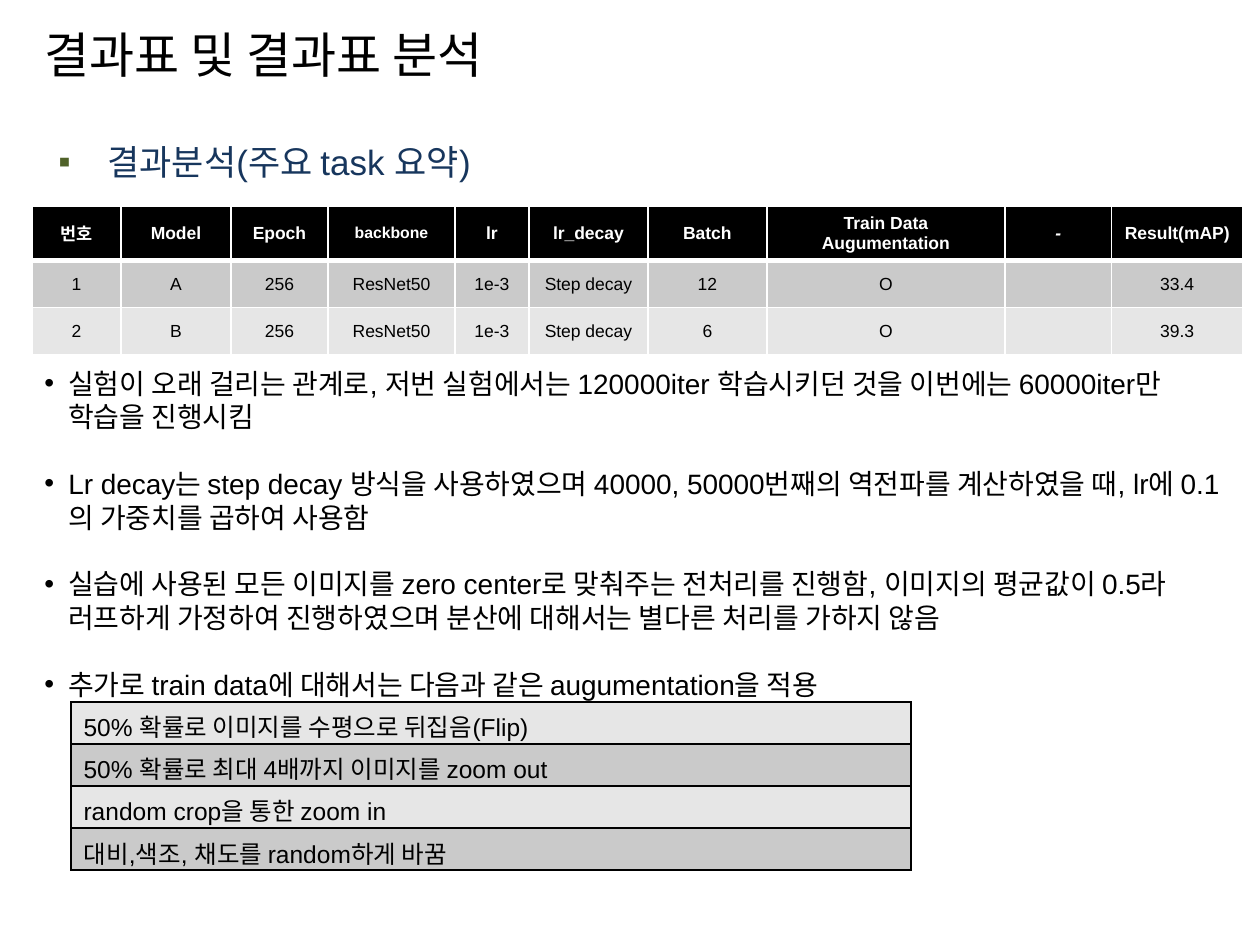
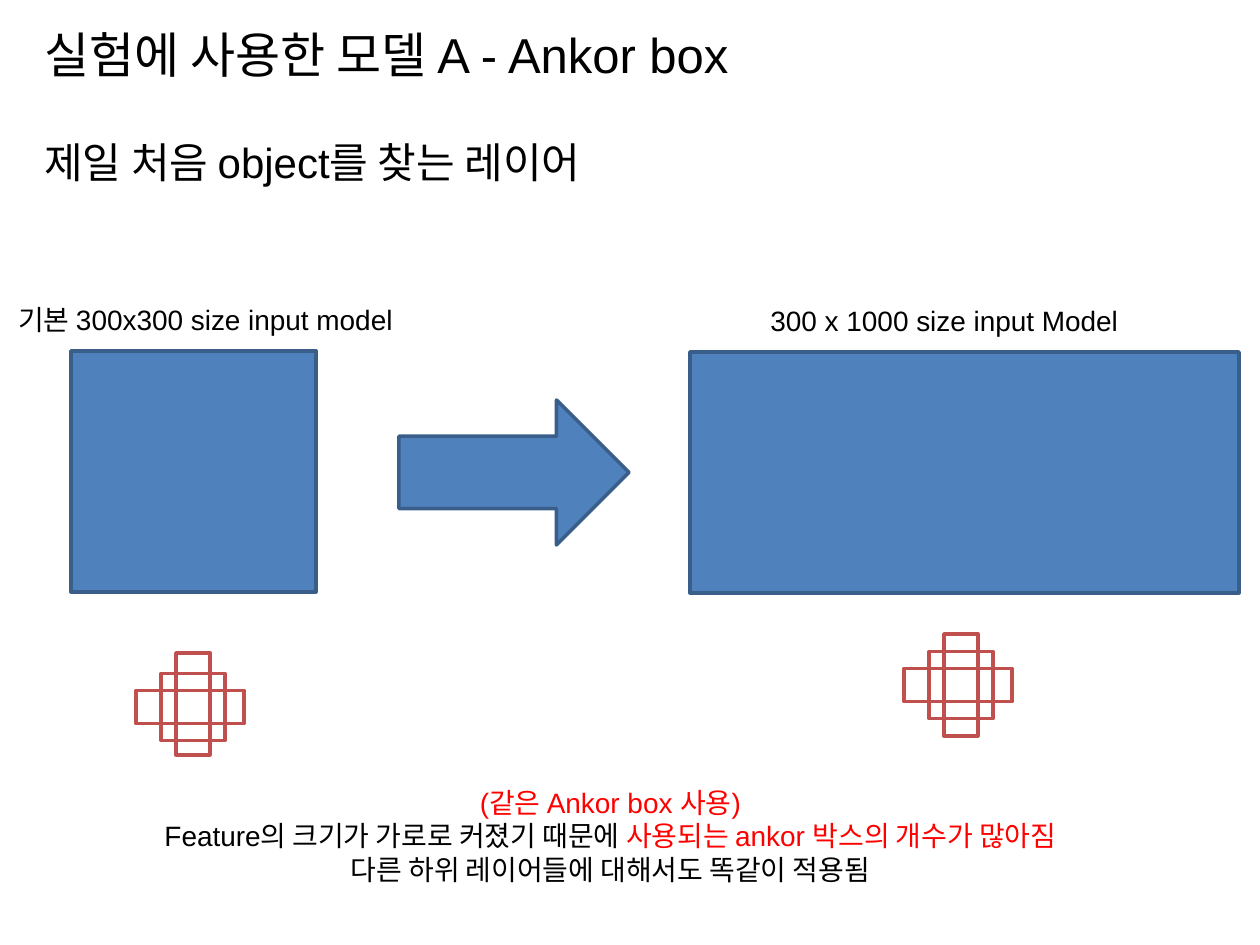
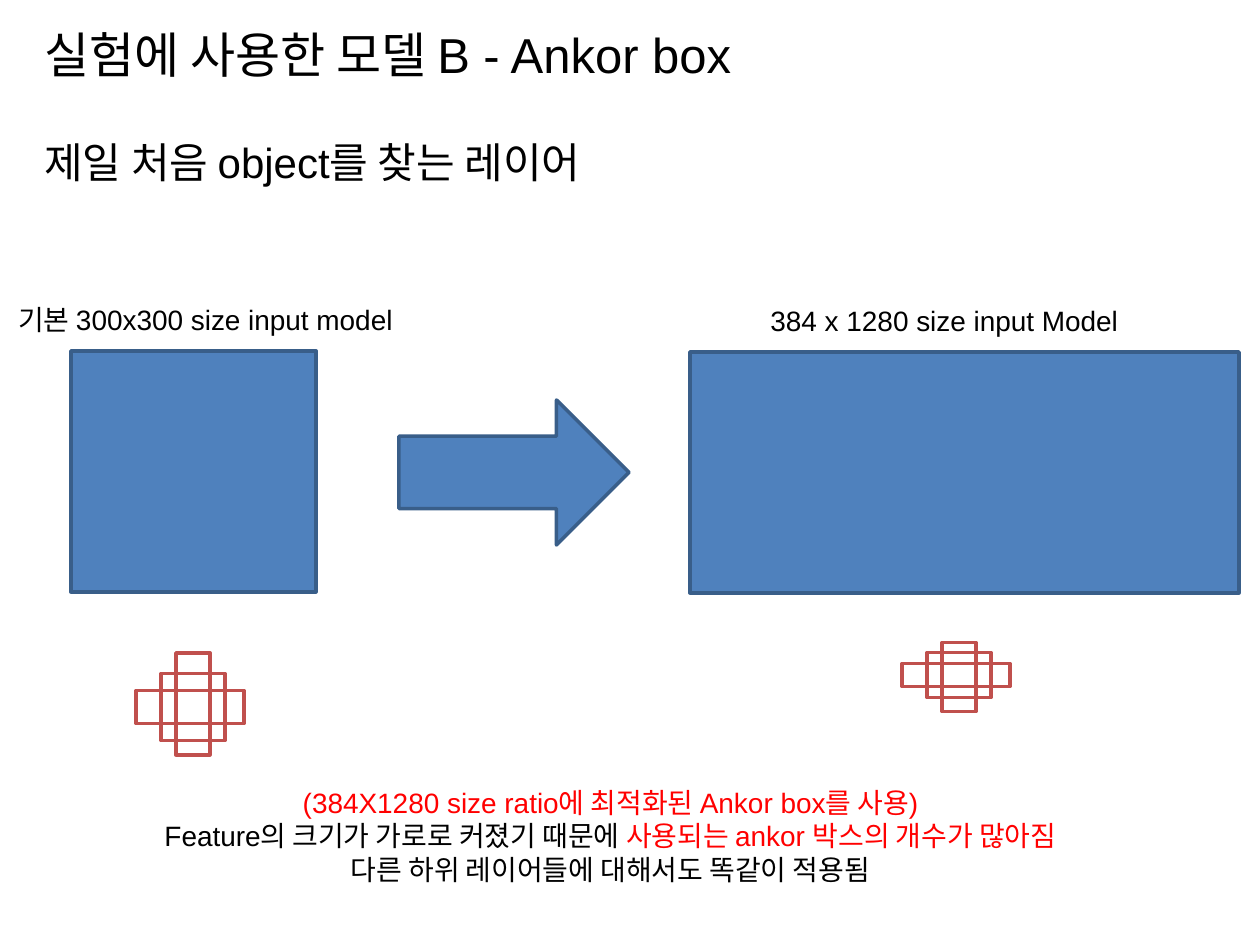
from lxml.etree import SubElement
from pptx import Presentation
from pptx.dml.color import RGBColor
from pptx.enum.shapes import MSO_SHAPE as Shape
from pptx.enum.text import MSO_ANCHOR as Anchor, PP_ALIGN as Align
from pptx.oxml.ns import qn
from pptx.util import Emu, Pt

# Shared look
PX = 914400 / 126
FONT = "Arial"
BLACK, WHITE, RED = "000000", "FFFFFF", "FF0000"
NAVY, OLIVE = "17365D", "4F6128"
DARK_GRAY, LIGHT_GRAY = "CACACA", "E6E6E6"
BLUE, BLUE_EDGE, ANCHOR_RED = "4F81BD", "395E89", "C0504D"

# Result table
COLUMN_WIDTHS = [89, 110, 97, 127, 74, 119, 119, 238, 107, 131]
RESULTS = [
    ["번호", "Model", "Epoch", "backbone", "lr", "lr_decay", "Batch",
     "Train Data Augumentation", "-", "Result(mAP)"],
    ["1", "A", "256", "ResNet50", "1e-3", "Step decay", "12", "O", "", "33.4"],
    ["2", "B", "256", "ResNet50", "1e-3", "Step decay", "6", "O", "", "39.3"],
]
FINDINGS = [
    "실험이 오래 걸리는 관계로, 저번 실험에서는 120000iter 학습시키던 것을 이번에는 60000iter만 학습을 진행시킴",
    "Lr decay는 step decay 방식을 사용하였으며 40000, 50000번째의 역전파를 계산하였을 때, lr에 0.1의 가중치를 곱하여 사용함",
    "실습에 사용된 모든 이미지를 zero center로 맞춰주는 전처리를 진행함, 이미지의 평균값이 0.5라 러프하게 가정하여 "
    "진행하였으며 분산에 대해서는 별다른 처리를 가하지 않음",
    "추가로 train data에 대해서는 다음과 같은 augumentation을 적용",
]
AUGMENTATIONS = [
    "50% 확률로 이미지를 수평으로 뒤집음(Flip)",
    "50% 확률로 최대 4배까지 이미지를 zoom out",
    "random crop을 통한 zoom in",
    "대비,색조, 채도를 random하게 바꿈",
]


def px(*lengths):
    return [Emu(round(length * PX)) for length in lengths]


def rgb(color):
    return RGBColor.from_string(color)


def add_run(paragraph, text, size, color=BLACK, bold=False, italic=False):
    run = paragraph.add_run()
    run.text = text
    font = run.font
    font.name, font.size = FONT, Pt(size)
    font.bold, font.italic = bold, italic
    font.color.rgb = rgb(color)


def add_text(slide, box, paragraphs, size, align=Align.LEFT, anchor=Anchor.TOP):
    """Each paragraph is a list of (text, color) runs."""
    frame = slide.shapes.add_textbox(*px(*box)).text_frame
    frame.word_wrap = True
    frame.vertical_anchor = anchor
    for index, runs in enumerate(paragraphs):
        paragraph = frame.add_paragraph() if index else frame.paragraphs[0]
        paragraph.alignment = align
        for text, color in runs:
            add_run(paragraph, text, size, color)
    return frame


def set_bullet(paragraph, mark, color, margin, hanging):
    props = paragraph._p.get_or_add_pPr()
    left, indent = px(margin, -hanging)
    props.set("marL", str(left))
    props.set("indent", str(indent))
    bullet_color = SubElement(props, qn("a:buClr"))
    SubElement(bullet_color, qn("a:srgbClr"), val=color)
    SubElement(props, qn("a:buFont"), typeface=FONT)
    SubElement(props, qn("a:buChar"), char=mark)


def add_shape(slide, kind, box, line, fill=None):
    shape = slide.shapes.add_shape(kind, *px(*box))
    shape.shadow.inherit = False
    if fill:
        shape.fill.solid()
        shape.fill.fore_color.rgb = rgb(fill)
    else:
        shape.fill.background()
    shape.line.color.rgb = rgb(line)
    shape.line.width = Pt(2)


def add_table(slide, left, top, widths, heights):
    table = slide.shapes.add_table(
        len(heights), len(widths), *px(left, top, sum(widths), sum(heights))).table
    for column, width in zip(table.columns, px(*widths)):
        column.width = width
    for row, height in zip(table.rows, px(*heights)):
        row.height = height
    return table


def style_cell(cell, fill, border, top=1, bottom=1):
    props = cell._tc.get_or_add_tcPr()
    for side, width in (("L", 1), ("R", 1), ("T", top), ("B", bottom)):
        edge = SubElement(props, qn(f"a:ln{side}"), w=str(Pt(width)))
        SubElement(SubElement(edge, qn("a:solidFill")), qn("a:srgbClr"), val=border)
    cell.fill.solid()
    cell.fill.fore_color.rgb = rgb(fill)


def add_slide(deck, title):
    slide = deck.slides.add_slide(deck.slide_layouts[6])
    add_text(slide, (32, 10, 1207, 88), [[(title, BLACK)]], 28, anchor=Anchor.MIDDLE)
    return slide


def add_result_table(slide):
    table = add_table(slide, 32, 206, COLUMN_WIDTHS, [51, 47, 47])
    fills = [BLACK, DARK_GRAY, LIGHT_GRAY]
    for r, row in enumerate(RESULTS):
        header = r == 0
        for c, text in enumerate(row):
            cell = table.cell(r, c)
            style_cell(cell, fills[r], WHITE, 3 if r == 1 else 1, 3 if header else 1)
            cell.vertical_anchor = Anchor.MIDDLE
            paragraph = cell.text_frame.paragraphs[0]
            paragraph.alignment = Align.CENTER
            if text:
                add_run(paragraph, text, 9 if text == "backbone" else 10,
                        WHITE if header else BLACK, header, text == "-")
            else:
                paragraph.font.size = Pt(10)


def add_augmentation_table(slide):
    table = add_table(slide, 71, 702, [840], [42] * len(AUGMENTATIONS))
    for r, text in enumerate(AUGMENTATIONS):
        cell = table.cell(r, 0)
        style_cell(cell, DARK_GRAY if r % 2 else LIGHT_GRAY, BLACK)
        add_run(cell.text_frame.paragraphs[0], text, 14)


def add_result_slide(deck):
    slide = add_slide(deck, "결과표 및 결과표 분석")
    heading = add_text(slide, (32, 126, 1207, 70),
                       [[("결과분석(주요 task 요약)", NAVY)]], 20).paragraphs[0]
    set_bullet(heading, "▪", OLIVE, 63, 49)
    heading.line_spacing = 1.2
    add_result_table(slide)

    findings = add_text(slide, (32, 360, 1207, 350),
                        [[(finding, BLACK)] for finding in FINDINGS], 16)
    for index, paragraph in enumerate(findings.paragraphs):
        set_bullet(paragraph, "•", BLACK, 24, 24)
        if index:
            paragraph.space_before = Pt(19)
    add_augmentation_table(slide)


def add_anchor_boxes(slide, center_x, center_y, heights, tall_shift=0):
    """Wide, tall and near-square anchors around one centre."""
    widths, shifts = (108, 34, 64), ((-3, 0), (0, tall_shift), (0, 0))
    for width, height, (dx, dy) in zip(widths, heights, shifts):
        box = (center_x + dx - width / 2, center_y + dy - height / 2, width, height)
        add_shape(slide, Shape.RECTANGLE, box, ANCHOR_RED)


def add_model_slide(deck, model, input_size, anchor_note, anchors):
    slide = add_slide(deck, f"실험에 사용한 모델 {model} - Ankor box")
    add_text(slide, (32, 130, 830, 63), [[("제일 처음 object를 찾는 레이어", BLACK)]], 24)

    # Input sizes before and after
    add_text(slide, (6, 296, 452, 47), [[("기본 300x300 size input model", BLACK)]], 16)
    add_text(slide, (758, 297, 400, 47), [[(f"{input_size} size input Model", BLACK)]], 16)
    for kind, box in ((Shape.RECTANGLE, (71, 351, 245, 241)),
                      (Shape.RIGHT_ARROW, (399, 400, 230, 145)),
                      (Shape.RECTANGLE, (690, 352, 549, 241))):
        add_shape(slide, kind, box, BLUE_EDGE, BLUE)

    # Anchor boxes of both models
    add_anchor_boxes(slide, 193, 707, (33, 102, 67), -3)
    add_anchor_boxes(slide, *anchors)

    add_text(slide, (115, 779, 991, 115), [
        [(anchor_note, RED)],
        [("Feature의 크기가 가로로 커졌기 때문에 ", BLACK),
         ("사용되는 ankor 박스의 개수가 많아짐", RED)],
        [("다른 하위 레이어들에 대해서도 똑같이 적용됨", BLACK)],
    ], 16, Align.CENTER)


def main():
    deck = Presentation()
    deck.slide_width, deck.slide_height = px(1260, 945)
    add_result_slide(deck)
    add_model_slide(deck, "A", "300 x 1000", "(같은 Ankor box 사용)",
                    (961, 685, (33, 102, 67)))
    add_model_slide(deck, "B", "384 x 1280",
                    "(384X1280 size ratio에 최적화된 Ankor box를 사용)",
                    (959, 675, (23, 69, 45), 2))
    deck.save("out.pptx")


if __name__ == "__main__":
    main()
